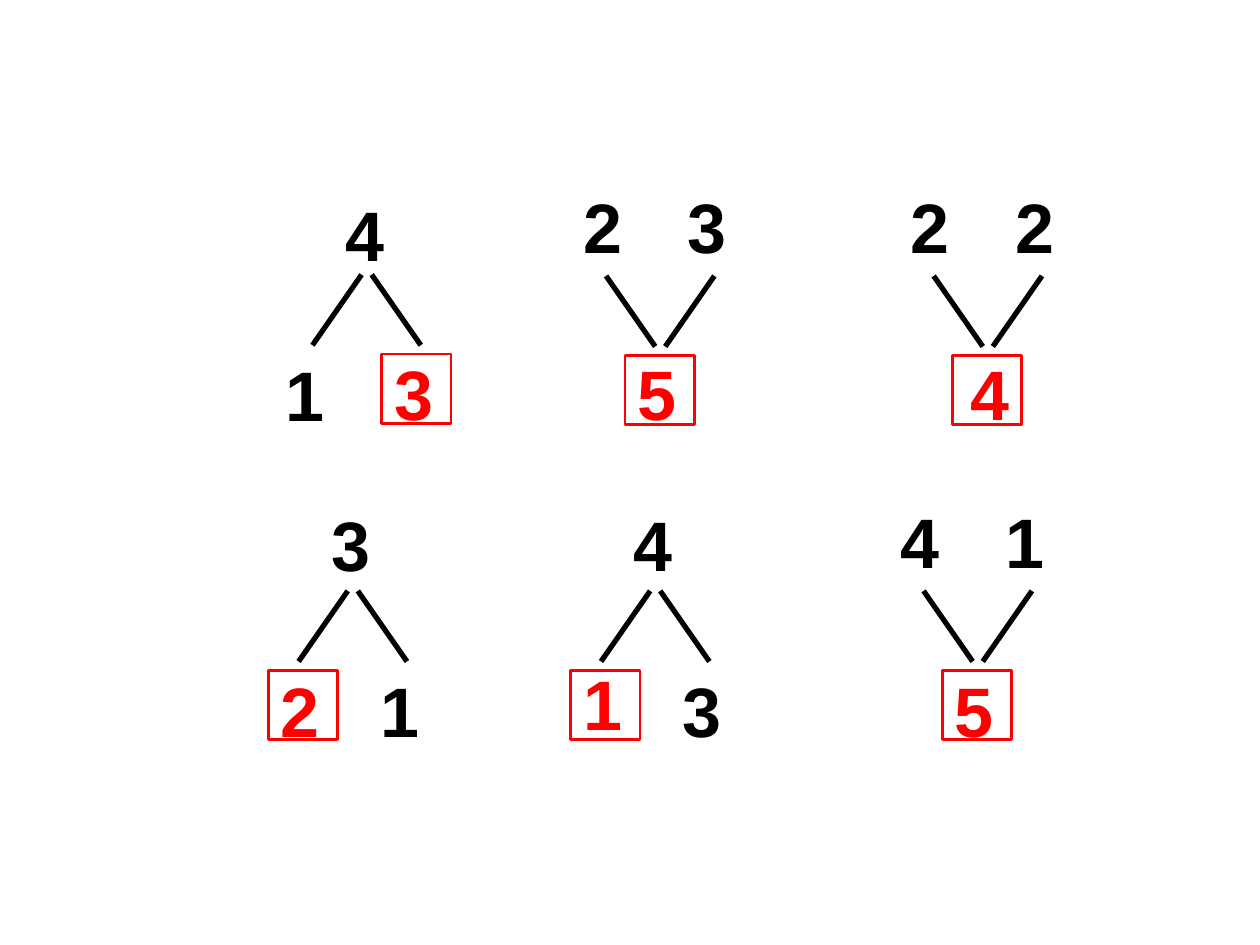
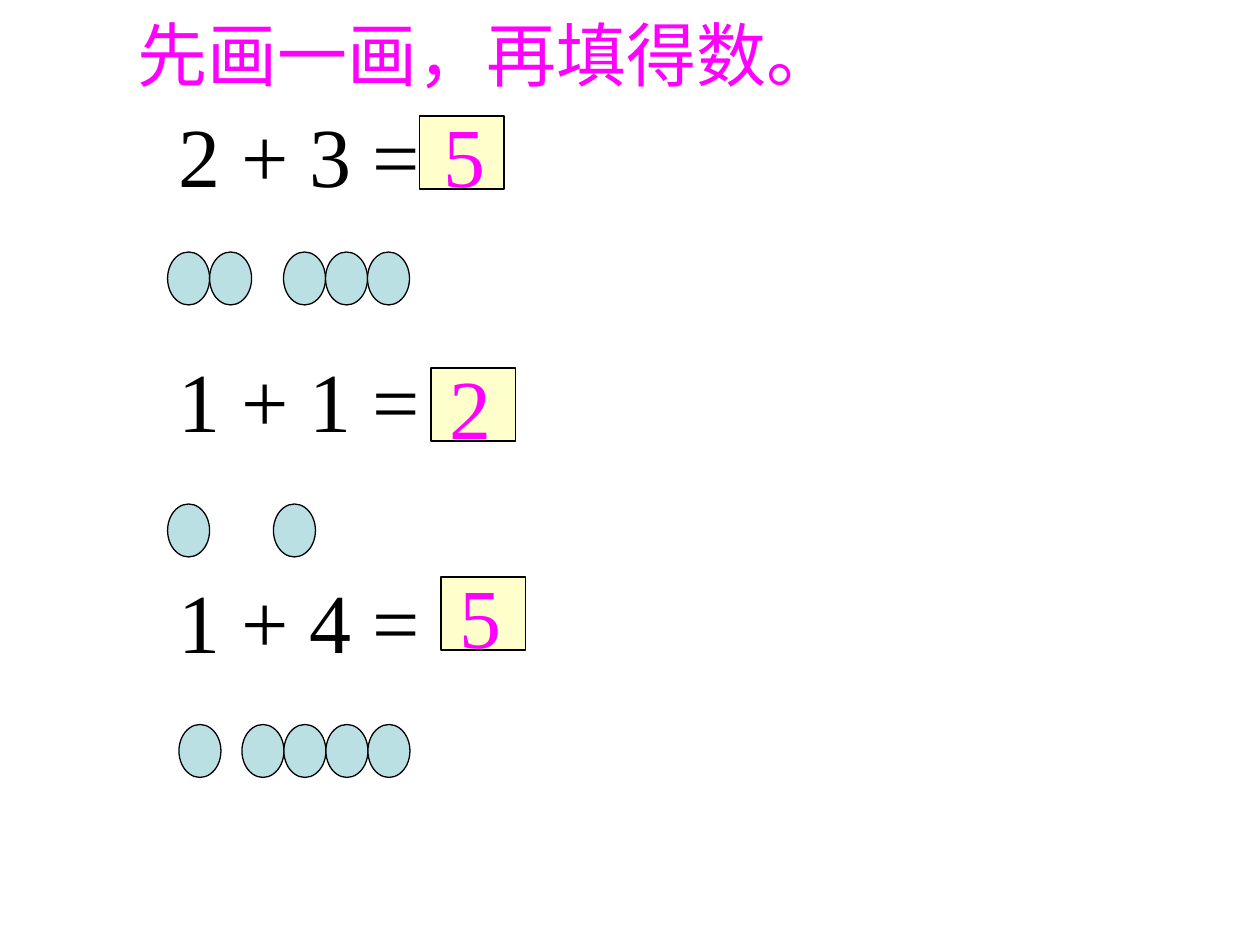
import pptx
import pptx.util
import pptx.dml.color
import pptx.enum.shapes
import pptx.enum.text
import pptx.oxml.ns
import lxml.etree

Inches = pptx.util.Inches
SHAPE = pptx.enum.shapes.MSO_SHAPE
ALIGN = pptx.enum.text.PP_ALIGN
HUES = {"ink": "000000", "red": "FF0000", "pink": "FF00FF",
        "cream": "FFFFCC", "aqua": "BBE0E3"}
SANS, SERIF = "Arial", "Times New Roman"


def hue(name):
    return pptx.dml.color.RGBColor.from_string(HUES[name])


def write(box, text, size, face, color, bold=False, align=ALIGN.LEFT):
    """Put one run of text into a text box or placeholder."""
    frame = box.text_frame
    frame.word_wrap = False
    frame.auto_size = pptx.enum.text.MSO_AUTO_SIZE.NONE
    frame.vertical_anchor = pptx.enum.text.MSO_ANCHOR.TOP
    para = frame.paragraphs[0]
    para.alignment = align
    run = para.add_run()
    run.text = text
    run.font.size = pptx.util.Pt(size)
    run.font.name = face
    run.font.bold = bold
    run.font.color.rgb = hue(color)


def place(shape, left, top, width, height):
    shape.left, shape.top = Inches(left), Inches(top)
    shape.width, shape.height = Inches(width), Inches(height)


def label(slide, text, left, top, width, height, *style, **more):
    box = slide.shapes.add_textbox(Inches(left), Inches(top),
                                   Inches(width), Inches(height))
    write(box, text, *style, **more)


def shape(slide, kind, left, top, width, height, fill, line, weight):
    item = slide.shapes.add_shape(kind, Inches(left), Inches(top),
                                  Inches(width), Inches(height))
    item.shadow.inherit = False
    if fill:
        item.fill.solid()
        item.fill.fore_color.rgb = hue(fill)
    else:
        item.fill.background()
    item.line.color.rgb = hue(line)
    item.line.width = pptx.util.Pt(weight)


# Number bonds

def digit(slide, text, left, top, color="ink"):
    label(slide, text, left, top, 0.51, 0.77, 40, SANS, color, bold=True)


def frame(slide, left, top):
    shape(slide, SHAPE.RECTANGLE, left, top, 0.55, 0.55, None, "red", 1.5)


def fork(slide, x, near, far):
    """Two strokes that nearly meet at height near and spread towards far."""
    for side in (-1, 1):
        line = slide.shapes.add_connector(
            pptx.enum.shapes.MSO_CONNECTOR.STRAIGHT,
            Inches(x + side * 0.04), Inches(near),
            Inches(x + side * 0.43), Inches(far))
        line.line.color.rgb = hue("ink")
        line.line.width = pptx.util.Pt(3)
        lxml.etree.SubElement(line._element.spPr,
                              pptx.oxml.ns.qn("a:effectLst"))


def split(slide, x, y, whole, top, part, left, blank):
    """A whole above two parts, one of them framed."""
    fork(slide, x, y, y + 0.56)
    digit(slide, whole, x - 0.27, top)
    digit(slide, part, left, y + 0.56)
    frame(slide, blank, y + 0.63)


def join(slide, x, y, pair):
    """Two parts above a framed whole."""
    fork(slide, x, y + 0.56, y)
    for text, shift in zip(pair, (-0.71, 0.12)):
        digit(slide, text, x + shift, y - 0.78)
    frame(slide, x - 0.28, y + 0.63)


def bonds(deck):
    slide = deck.slides.add_slide(deck.slide_layouts[6])
    high, low = 2.19, 4.69
    split(slide, 2.91, high - 0.01, "4", 1.47, "1", 2.17, 3.03)
    join(slide, 5.24, high, "23")
    join(slide, 7.84, high, "22")
    split(slide, 2.8, low, "3", 3.93, "1", 2.92, 2.13)
    split(slide, 5.2, low, "4", 3.93, "3", 5.32, 4.53)
    join(slide, 7.76, low, "41")
    # Answers
    for text, left, top in (("3", 3.03, 2.73), ("5", 4.96, 2.73),
                            ("4", 7.6, 2.73), ("2", 2.13, 5.25),
                            ("1", 4.53, 5.19), ("5", 7.48, 5.25)):
        digit(slide, text, left, top, "red")


# Sums with counters

def count(slide, left, top, number):
    step = 1 / 3
    for i in range(number):
        shape(slide, SHAPE.OVAL, left + i * step, top, step, 0.42,
              "aqua", "ink", 0.75)


def total(slide, text, top, box, answer, shift):
    """A sum, its answer box and the answer in it."""
    left, level = box
    label(slide, text, 1.32, top, 2.12, 0.9, 48, SERIF, "ink")
    shape(slide, SHAPE.RECTANGLE, left, level, 0.67, 0.58,
          "cream", "ink", 0.75)
    label(slide, answer, left + shift, level - 0.15, 0.53, 0.9,
          48, SERIF, "pink", align=ALIGN.CENTER)


def sums(deck):
    slide = deck.slides.add_slide(deck.slide_layouts[5])
    title = slide.shapes.title
    place(title, 0.99, 0.04, 5.75, 0.77)
    write(title, "先画一画，再填得数。", 40, SERIF, "pink")

    total(slide, "2 + 3 =", 0.77, (3.33, 0.92), "5", 0.09)
    total(slide, "1 + 1 =", 2.72, (3.42, 2.92), "2", 0.05)
    total(slide, "1 + 4 =", 4.47, (3.5, 4.58), "5", 0.05)

    for left, top, number in ((1.33, 2, 2), (2.25, 2, 3),
                              (1.33, 4, 1), (2.17, 4, 1),
                              (1.42, 5.75, 1), (1.92, 5.75, 4)):
        count(slide, left, top, number)


def main():
    deck = pptx.Presentation()
    deck.slide_width, deck.slide_height = Inches(10), Inches(7.5)
    bonds(deck)
    sums(deck)
    deck.save("out.pptx")


if __name__ == "__main__":
    main()
